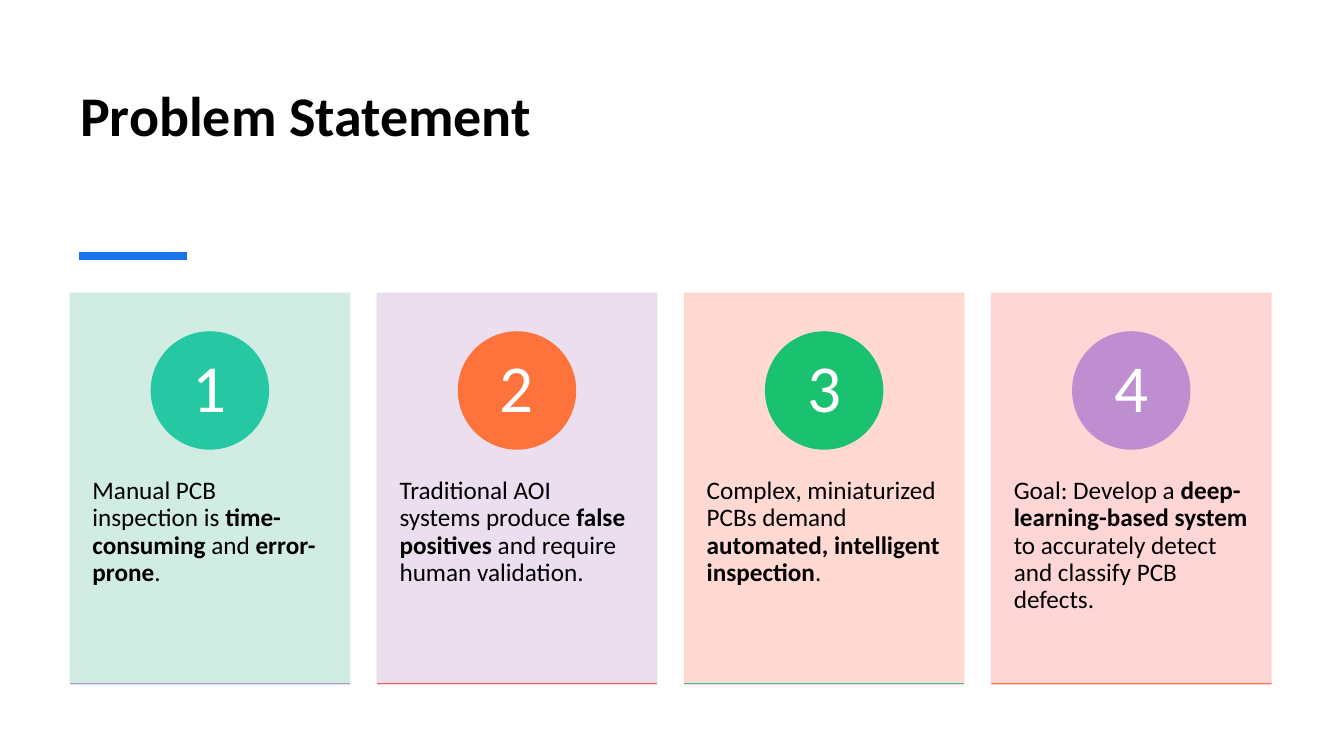
from lxml import etree
from pptx import Presentation
from pptx.dml.color import RGBColor
from pptx.enum.shapes import MSO_CONNECTOR as Connector, MSO_SHAPE as Shape
from pptx.enum.text import MSO_ANCHOR as Anchor, MSO_AUTO_SIZE as AutoSize, PP_ALIGN as Align
from pptx.oxml.ns import qn
from pptx.util import Cm, Pt

CARD_LEFT, CARD_TOP, CARD_WIDTH, CARD_HEIGHT = 1.77, 7.39, 7.04, 9.86
CARD_PITCH = 7.74
CIRCLE_SIZE, NUMBER_SIZE = 2.95, 2.08
CIRCLE_MIDDLE = 9.84

# Card fill, circle fill, base line colour, text with every second part bold
CARDS = [
    ("CDEBE0", "25C8A2", "BF8ED1",
     ["Manual PCB inspection is ", "time-consuming", " and ", "error-prone", "."]),
    ("E8DBEE", "FE733C", "FE5A5A",
     ["Traditional AOI systems produce ", "false positives",
      " and require human validation."]),
    ("FFD5CE", "1AC16E", "25C8A2",
     ["Complex, miniaturized PCBs demand ", "automated, intelligent inspection", "."]),
    ("FFD2D2", "BF8ED1", "FE733C",
     ["Goal: Develop a ", "deep-learning-based system",
      " to accurately detect and classify PCB defects."]),
]


def paint(color_format, color, opacity=100):
    """Set a solid fill's colour from a hex string, with opacity in percent."""
    color_format.solid()
    color_format.fore_color.rgb = RGBColor.from_string(color)
    if opacity < 100:
        for node in color_format._xPr.iter(qn("a:srgbClr")):
            etree.SubElement(node, qn("a:alpha"), val=str(opacity * 1000))


def write(frame, parts, size=18, color="000000", bold=False, align=Align.LEFT,
          anchor=Anchor.TOP, insets=(0.25, 0.13, 0.25, 0.13)):
    """Fill a text frame with one paragraph; every second part is bold."""
    frame.word_wrap = True
    frame.auto_size = AutoSize.NONE
    frame.vertical_anchor = anchor
    (frame.margin_left, frame.margin_top,
     frame.margin_right, frame.margin_bottom) = map(Cm, insets)
    para = frame.paragraphs[0]
    para.alignment = align
    para.line_spacing = 0.9
    for index, part in enumerate(parts):
        span = para.add_run()
        span.text = part
        span.font.name = "Calibri"
        span.font.size = Pt(size)
        span.font.bold = bold or index % 2 == 1
        paint(span.font.fill, color)


class SlideBuilder:
    def __init__(self, deck):
        self.slide = deck.slides.add_slide(deck.slide_layouts[5])
        self.shapes = self.slide.shapes

    def title(self, text, left, top, width, height):
        title = self.shapes.title
        title.left, title.top, title.width, title.height = map(
            Cm, (left, top, width, height))
        write(title.text_frame, [text], size=40, bold=True, anchor=Anchor.BOTTOM,
              insets=(0.25, 0.13, 0.25, 1.68))

    def line(self, left, right, y, color, weight):
        line = self.shapes.add_connector(
            Connector.STRAIGHT, Cm(left), Cm(y), Cm(right), Cm(y))
        paint(line.line.fill, color)
        line.line.width = Pt(weight)
        etree.SubElement(line._element.spPr, qn("a:effectLst"))

    def shape(self, kind, left, top, width, height, color, opacity=100):
        shape = self.shapes.add_shape(kind, Cm(left), Cm(top), Cm(width), Cm(height))
        shape.shadow.inherit = False
        paint(shape.fill, color, opacity)
        paint(shape.line.fill, color, opacity)
        shape.line.width = Pt(1)

    def text(self, parts, left, top, width, height, **style):
        box = self.shapes.add_textbox(Cm(left), Cm(top), Cm(width), Cm(height))
        write(box.text_frame, parts, **style)

    def card(self, number, left, card_color, circle_color, base_color, parts):
        middle = left + CARD_WIDTH / 2
        self.shape(Shape.RECTANGLE, left, CARD_TOP, CARD_WIDTH, CARD_HEIGHT,
                   card_color, opacity=90)
        self.text(parts, left, 11.13, CARD_WIDTH, 5.92, insets=(0.56, 0.91, 0.56, 0.91))
        self.shape(Shape.OVAL, middle - CIRCLE_SIZE / 2, CIRCLE_MIDDLE - CIRCLE_SIZE / 2,
                   CIRCLE_SIZE, CIRCLE_SIZE, circle_color)
        self.text([str(number)], middle - NUMBER_SIZE / 2, CIRCLE_MIDDLE - NUMBER_SIZE / 2,
                  NUMBER_SIZE, NUMBER_SIZE, size=48, color="FFFFFF", align=Align.CENTER,
                  anchor=Anchor.MIDDLE, insets=(0.23, 0.03, 0.23, 0.03))
        self.shape(Shape.RECTANGLE, left, 17.23, CARD_WIDTH, 0, base_color)


def main():
    deck = Presentation()
    deck.slide_width, deck.slide_height = Cm(33.87), Cm(19.05)
    page = SlideBuilder(deck)
    page.title("Problem Statement", 1.77, 1.57, 30.25, 3.86)
    page.line(1.99, 4.71, 6.45, "1973EB", 6)
    for index, card in enumerate(CARDS):
        page.card(index + 1, CARD_LEFT + index * CARD_PITCH, *card)
    deck.save("out.pptx")


if __name__ == "__main__":
    main()
